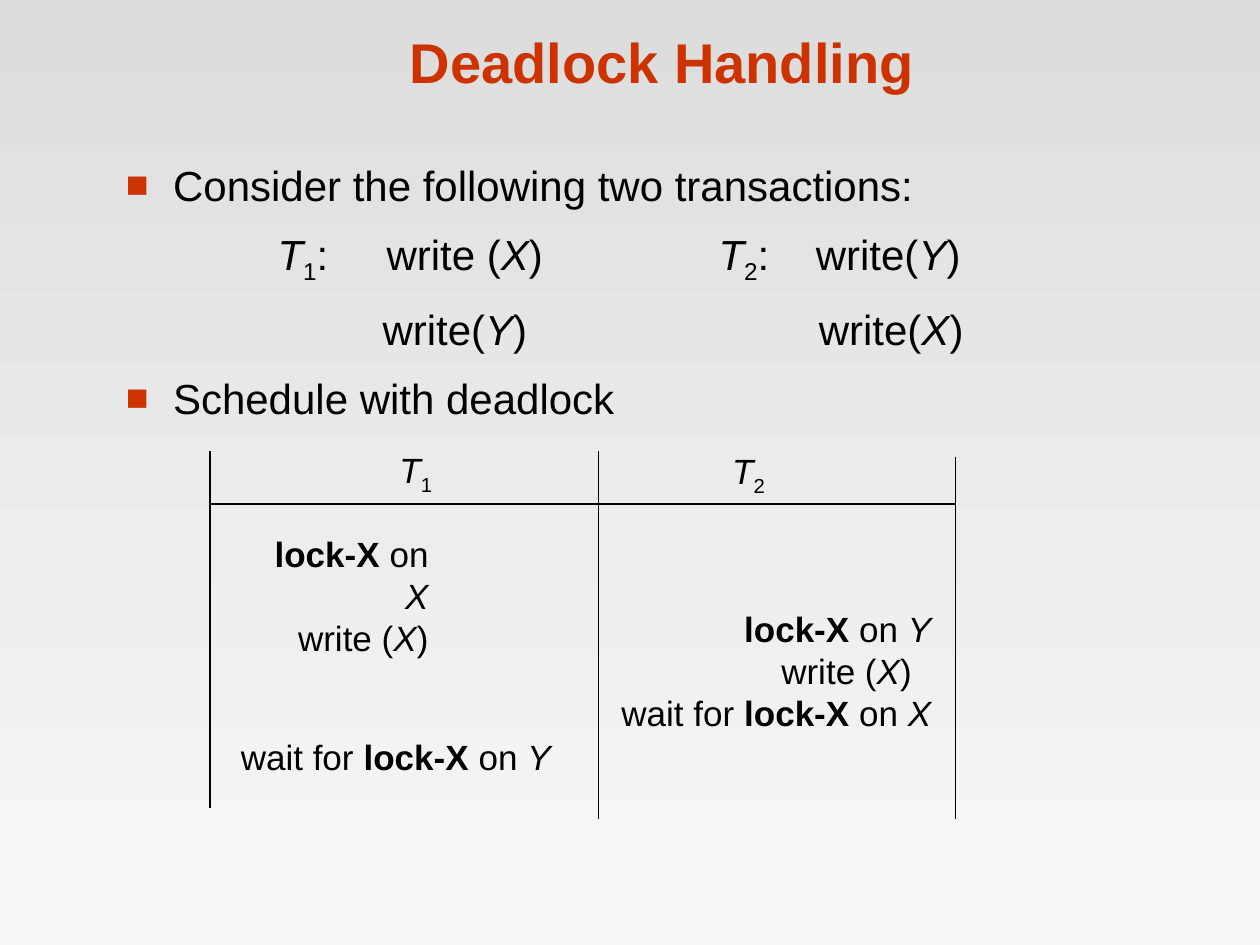
"""Build the deadlock handling slide with two transactions and their schedule."""
from lxml import etree
from pptx import Presentation
from pptx.dml.color import RGBColor
from pptx.enum.shapes import MSO_CONNECTOR as CONNECTOR
from pptx.enum.text import MSO_ANCHOR as ANCHOR, MSO_AUTO_SIZE as AUTO, PP_ALIGN as ALIGN
from pptx.oxml.ns import qn
from pptx.util import Pt

RED = RGBColor(0xCC, 0x33, 0x00)
BLACK = RGBColor(0, 0, 0)
TOP_GREY = RGBColor(0xDD, 0xDD, 0xDD)
BOTTOM_GREY = RGBColor(0xF8, 0xF8, 0xF8)
STYLES = {"": {}, "b": {"bold": True}, "i": {"italic": True}, "sub": {}}


def add_runs(para, runs, size, color=BLACK):
    for text, style in runs:
        span = para.add_run()
        span.text = text
        formats = {"name": "Arial", "size": Pt(size), "bold": False, "italic": False}
        for name, value in (formats | STYLES[style]).items():
            setattr(span.font, name, value)
        span.font.color.rgb = color
        if style == "sub":
            span._r.get_or_add_rPr().set("baseline", "-25000")


def add_text(slide, left, top, width, height, wrap):
    box = slide.shapes.add_textbox(Pt(left), Pt(top), Pt(width), Pt(height))
    box.text_frame.word_wrap = wrap
    box.text_frame.auto_size = AUTO.NONE if wrap else AUTO.SHAPE_TO_FIT_TEXT
    return box.text_frame


deck = Presentation()
deck.slide_width, deck.slide_height = Pt(720), Pt(540)
slide = deck.slides.add_slide(deck.slide_layouts[5])
background = slide.background.fill
background.gradient()
background.gradient_angle = 270
for stop, grey in zip(background.gradient_stops, (TOP_GREY, BOTTOM_GREY)):
    stop.color.rgb = grey

title = slide.shapes.title
placement = {"left": 60.5, "top": 9.4, "width": 635.8, "height": 48.2}
for name, value in placement.items():
    setattr(title, name, Pt(value))
title.text_frame.vertical_anchor = ANCHOR.BOTTOM
title.text_frame.auto_size = AUTO.NONE
title_para = title.text_frame.paragraphs[0]
title_para.alignment = ALIGN.CENTER
add_runs(title_para, [("Deadlock Handling", "b")], 32, RED)

body_lines = [
    ((), [("Consider the following two transactions:", "")]),
    ((86.7, 149, 338.7, 394.3), [
        ("\t", ""), ("T", "i"), ("1", "sub"), (":\twrite (", ""), ("X", "i"), (")\t", ""),
        ("T", "i"), ("2", "sub"), (":\twrite(", ""), ("Y", "i"), (")", "")]),
    ((146.7, 396), [
        ("\twrite(", ""), ("Y", "i"), (")\twrite(", ""), ("X", "i"), (")", "")]),
    ((), [("Schedule with deadlock", "")]),
]
body = add_text(slide, 64.8, 87.5, 603.4, 383.4, True)
for index, (tabs, runs) in enumerate(body_lines):
    para = body.add_paragraph() if index else body.paragraphs[0]
    para.space_before = Pt(10.5 if index else 0)
    properties = para._p.get_or_add_pPr()
    if tabs:
        tab_list = etree.SubElement(properties, qn("a:tabLst"))
        for position in tabs:
            etree.SubElement(tab_list, qn("a:tab"), pos=str(Pt(position)), algn="l")
    else:
        properties.set("marL", str(Pt(27)))
        properties.set("indent", str(Pt(-27)))
        bullet_color = etree.SubElement(properties, qn("a:buClr"))
        etree.SubElement(bullet_color, qn("a:srgbClr"), val=str(RED))
        etree.SubElement(properties, qn("a:buSzPct"), val="90000")
        etree.SubElement(properties, qn("a:buFont"), typeface="Arial")
        etree.SubElement(properties, qn("a:buChar"), char="■")
    add_runs(para, runs, 24)

schedule_rules = [
    (120, 288, 546, 288),
    (120, 258, 120, 462),
    (342, 258, 342, 468),
    (546, 261, 546, 468),
]
for ends in schedule_rules:
    rule = slide.shapes.add_connector(CONNECTOR.STRAIGHT, *map(Pt, ends))
    rule.line.color.rgb = BLACK
    rule.line.width = Pt(0.75)
    etree.SubElement(rule._element.spPr, qn("a:effectLst"))

lock_x = [("lock-X", "b"), (" on ", ""), ("X", "i")]
lock_y = [("lock-X", "b"), (" on ", ""), ("Y", "i")]
write_x = [("write (", ""), ("X", "i"), (")", "")]
wait = [("wait for ", "")]
schedule_texts = [
    (221, 252.7, 33.1, 34.6, [(0, [("T", "i"), ("1", "sub")])]),
    (411.1, 253.4, 33.1, 34.6, [(0, [("T", "i"), ("2", "sub")])]),
    (131, 301, 121, 55.4, [(0, lock_x), (26.4, write_x)]),
    (347.8, 343.4, 191.5, 79.2, [(0, lock_y), (91.4, write_x), (0, wait + lock_x)]),
    (130.3, 416.9, 191.5, 31.7, [(0, wait + lock_y)]),
]
for left, top, width, height, lines in schedule_texts:
    frame = add_text(slide, left, top, width, height, False)
    for index, (indent, runs) in enumerate(lines):
        para = frame.add_paragraph() if index else frame.paragraphs[0]
        para.alignment = ALIGN.LEFT if indent else ALIGN.RIGHT
        if indent:
            para._p.get_or_add_pPr().set("marL", str(Pt(indent)))
        add_runs(para, runs, 20)

deck.save("out.pptx")
